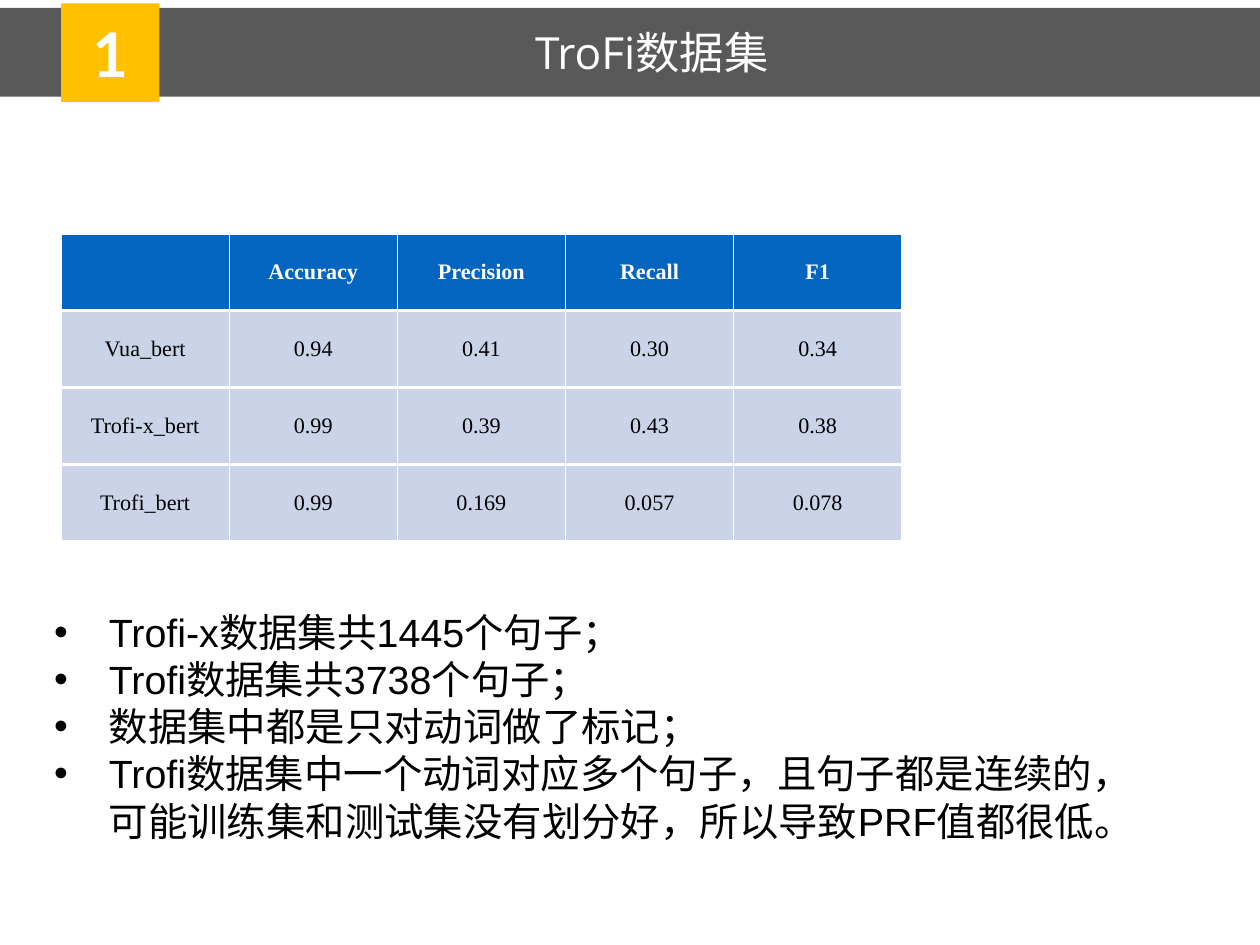
from lxml import etree
from pptx import Presentation
from pptx.dml.color import RGBColor
from pptx.enum.shapes import MSO_SHAPE
from pptx.enum.text import MSO_ANCHOR, MSO_AUTO_SIZE, PP_ALIGN
from pptx.oxml.ns import qn
from pptx.util import Cm, Pt

RECTANGLE = MSO_SHAPE.RECTANGLE
MIDDLE = MSO_ANCHOR.MIDDLE
CENTER, LEFT = PP_ALIGN.CENTER, PP_ALIGN.LEFT
GROW = MSO_AUTO_SIZE.SHAPE_TO_FIT_TEXT

WHITE = RGBColor(0xFF, 0xFF, 0xFF)
BLACK = RGBColor(0x00, 0x00, 0x00)
GRAY = RGBColor(0x59, 0x59, 0x59)
AMBER = RGBColor(0xFF, 0xC0, 0x00)
BLUE = RGBColor(0x03, 0x65, 0xC0)
PALE_BLUE = RGBColor(0xCB, 0xD3, 0xE8)

SLIDE_WIDTH, SLIDE_HEIGHT = Cm(36.12), Cm(27.1)
LEFT_EDGE = Cm(1.75)
INSET = Cm(0.15)
BULLET_INDENT = Cm(1.57)

SCORES = [
    ["", "Accuracy", "Precision", "Recall", "F1"],
    ["Vua_bert", "0.94", "0.41", "0.30", "0.34"],
    ["Trofi-x_bert", "0.99", "0.39", "0.43", "0.38"],
    ["Trofi_bert", "0.99", "0.169", "0.057", "0.078"],
]
FINDINGS = [
    "Trofi-x数据集共1445个句子；",
    "Trofi数据集共3738个句子；",
    "数据集中都是只对动词做了标记；",
    "Trofi数据集中一个动词对应多个句子，且句子都是连续的，"
    "可能训练集和测试集没有划分好，所以导致PRF值都很低。",
]


class DatasetSlide:
    title_font = "Open Sans"
    badge_font = "Lato"
    table_font = "Times New Roman"
    body_font = "Arial"

    def __init__(self, slide):
        self.slide = slide

    def style_runs(self, paragraph, font, size, color, bold=False):
        for run in paragraph.runs:
            run.font.name = font
            run.font.size = Pt(size)
            run.font.color.rgb = color
            run.font.bold = bold

    def frame(self, shape, wrap=True):
        """Give the shape's text the common insets and middle anchor."""
        text = shape.text_frame
        text.margin_left = text.margin_right = INSET
        text.margin_top = text.margin_bottom = INSET
        text.vertical_anchor = MIDDLE
        text.word_wrap = wrap
        return text

    def rectangle(self, left, top, width, height, color):
        block = self.slide.shapes.add_shape(RECTANGLE, left, top, width, height)
        block.shadow.inherit = False
        block.fill.solid()
        block.fill.fore_color.rgb = color
        block.line.fill.background()
        return block

    def title(self, wording, left, top, width, height):
        heading = self.slide.shapes.title
        heading.left, heading.top = left, top
        heading.width, heading.height = width, height
        text = self.frame(heading, wrap=False)
        text.auto_size = GROW
        text.text = wording
        text.paragraphs[0].alignment = LEFT
        self.style_runs(text.paragraphs[0], self.title_font, 36, WHITE)
        # Bring the heading in front of the band
        self.slide.shapes._spTree.append(heading._element)

    def badge(self, number, left, top, side):
        text = self.frame(self.rectangle(left, top, side, side, AMBER))
        text.text = number
        text.paragraphs[0].alignment = CENTER
        self.style_runs(text.paragraphs[0], self.badge_font, 50, WHITE, True)

    def borders(self, cell, top, bottom):
        """Draw white cell edges; top and bottom widths are in points."""
        properties = cell._tc.get_or_add_tcPr()
        for edge, width in (("L", 1), ("R", 1), ("T", top), ("B", bottom)):
            line = etree.SubElement(properties, qn(f"a:ln{edge}"), w=str(Pt(width)))
            fill = etree.SubElement(line, qn("a:solidFill"))
            etree.SubElement(fill, qn("a:srgbClr"), val=str(WHITE))

    def table(self, rows, left, top, column_width, row_height):
        columns = len(rows[0])
        grid = self.slide.shapes.add_table(
            len(rows), columns, left, top, column_width * columns, row_height * len(rows)
        ).table
        grid.horz_banding = False
        for column in grid.columns:
            column.width = column_width
        for r, values in enumerate(rows):
            header = r == 0
            grid.rows[r].height = row_height
            for c, value in enumerate(values):
                cell = grid.cell(r, c)
                self.borders(cell, 1 if header else 3, 1 if r == len(rows) - 1 else 3)
                cell.fill.solid()
                cell.fill.fore_color.rgb = BLUE if header else PALE_BLUE
                cell.vertical_anchor = MIDDLE
                cell.text = value
                paragraph = cell.text_frame.paragraphs[0]
                paragraph.alignment = CENTER
                self.style_runs(paragraph, self.table_font, 18,
                                WHITE if header else BLACK, header)

    def bullets(self, lines, left, top, width, height):
        text = self.frame(self.slide.shapes.add_textbox(left, top, width, height))
        text.auto_size = GROW
        text.text = "\n".join(lines)
        for paragraph in text.paragraphs:
            properties = paragraph._p.get_or_add_pPr()
            properties.set("marL", str(BULLET_INDENT))
            properties.set("indent", str(-BULLET_INDENT))
            etree.SubElement(properties, qn("a:buFont"), typeface=self.body_font)
            etree.SubElement(properties, qn("a:buChar"), char="•")
            self.style_runs(paragraph, self.body_font, 32, BLACK)


def main():
    deck = Presentation()
    deck.slide_width, deck.slide_height = SLIDE_WIDTH, SLIDE_HEIGHT
    page = DatasetSlide(deck.slides.add_slide(deck.slide_layouts[5]))
    page.rectangle(0, Cm(0.23), SLIDE_WIDTH, Cm(2.54), GRAY)
    page.title("TroFi数据集", Cm(15.19), Cm(0.58), Cm(7.57), Cm(1.83))
    page.badge("1", LEFT_EDGE, Cm(0.1), Cm(2.82))
    page.table(SCORES, LEFT_EDGE, Cm(6.71), Cm(4.82), Cm(2.2))
    page.bullets(FINDINGS, Cm(1.4), Cm(17.17), Cm(32.13), Cm(7.29))
    deck.save("out.pptx")


if __name__ == "__main__":
    main()
